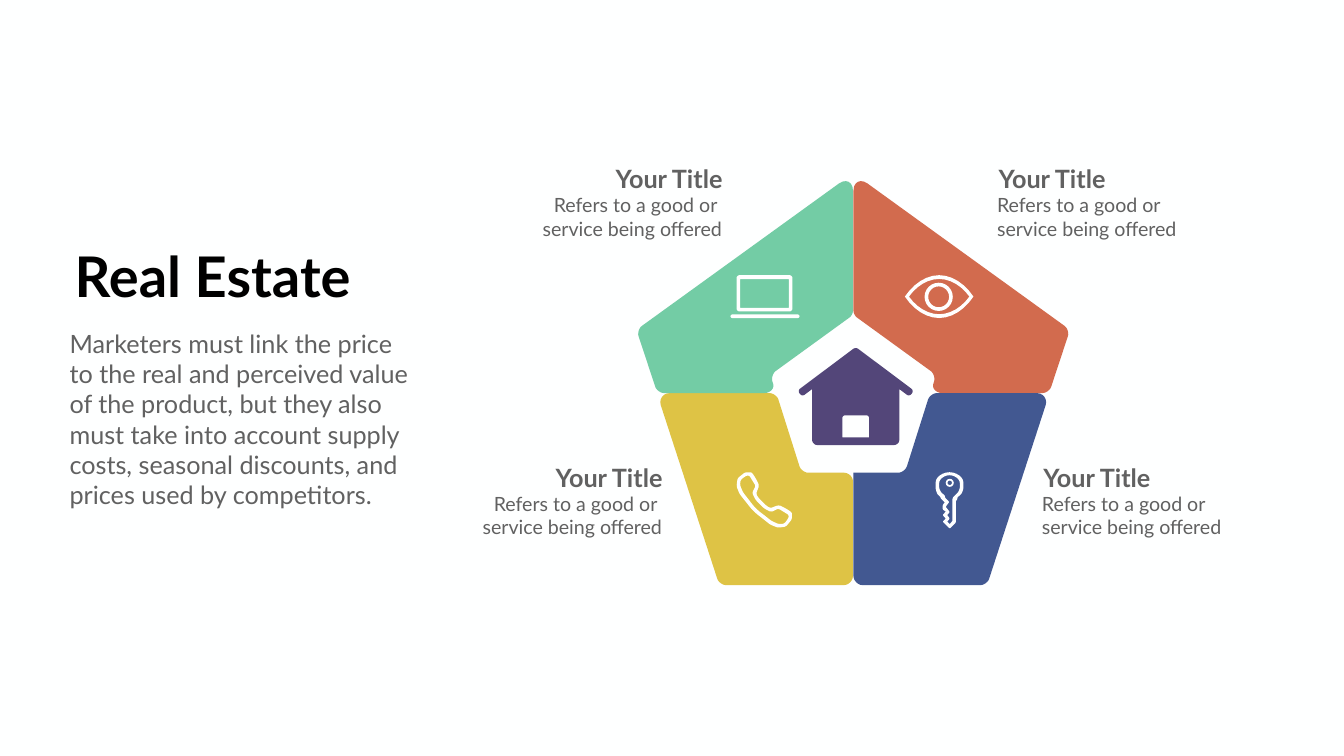
from math import hypot

from pptx import Presentation
from pptx.dml.color import RGBColor as Rgb
from pptx.enum.shapes import MSO_SHAPE as Kind
from pptx.enum.text import MSO_ANCHOR as Anchor, MSO_AUTO_SIZE as Auto, PP_ALIGN as Align
from pptx.util import Inches, Pt

CELL = Inches(0.01)
COLS, ROWS = 2666, 1500
AXIS = 1692.5
BEND = 0.5
STEPS = 6
FONT = "Lato"
HUES = {
    "page": "FEFFFF", "ink": "000000", "grey": "616161", "icon": "FFFFFF",
    "house": "534679", "green": "73CCA5", "red": "D26B4E",
    "gold": "DEC345", "blue": "425891",
}

UPPER = [(1692, 344, 34), (1692, 625, 8), (1528, 744, 13), (1539.5, 780, 24),
         (1304, 780, 13), (1262.5, 654.5, 13)]
HOUSE = [(1697.5, 688.5, 6), (1813, 775, 6), (1804, 787, 6), (1784, 772, 0),
         (1784, 883, 10)]
PHONE = [
    [(30, 74), (15, 55), (7, 45), (1, 30), (3, 14), (18, 2), (28, 2), (32, 3),
     (39, 14), (46, 28), (42, 39), (40, 44), (43, 51), (53, 61)],
    [(35, 69), (21, 51), (14, 42), (8, 28), (9, 17), (20, 9), (26, 8),
     (39, 29), (36, 35), (32, 43), (39, 57), (44, 62)],
]
KEY = [
    [(0, 0, 27), (55, 0, 27), (55, 40, 10), (43, 50, 2), (43, 54, 2),
     (40, 57, 2), (40, 100, 2), (28, 112, 2), (14, 98, 2), (20, 92, 0),
     (14, 85, 2), (20, 78, 0), (14, 74, 2), (14, 65, 2), (18, 60, 0),
     (10, 52, 2), (10, 50, 2), (0, 40, 10)],
    [(7, 6, 20), (48, 6, 20), (48, 37, 8), (35, 49, 2), (33, 54, 2),
     (33, 97, 0), (28, 103, 0), (23, 98, 0), (28, 92, 2), (23, 85, 0),
     (28, 79, 2), (21, 70, 0), (21, 67, 0), (27, 59, 2), (19, 51, 2),
     (18, 46, 2), (7, 37, 8)],
]


def lower(cut):
    return [(1692, 938, cut), (1692, 1161, 18), (1427, 1161, 13),
            (1303, 780, 25), (1540, 780, 13), (1590, 938, 13)]


def flip(ring, axis=AXIS):
    return [(2 * axis - x, y, cut) for x, y, cut in ring]


def box(left, top, wide, high, cut):
    right, base = left + wide, top + high
    return [(left, top, cut), (right, top, cut), (right, base, cut), (left, base, cut)]


def shift(ring, left, top):
    return [(x + left, y + top, cut) for x, y, cut in ring]


def curve(a, b, c, d):
    for i in range(STEPS + 1):
        t = i / STEPS
        u = 1 - t
        yield tuple(u**3 * p + 3 * u * u * t * q + 3 * u * t * t * r + t**3 * s
                    for p, q, r, s in zip(a, b, c, d))


def toward(a, b, share):
    return a[0] + (b[0] - a[0]) * share, a[1] + (b[1] - a[1]) * share


def trim(spot, near):
    span = hypot(near[0] - spot[0], near[1] - spot[1])
    return toward(spot, near, min(spot[2] / span, 0.5))


def soften(ring):
    dots = []
    for i, spot in enumerate(ring):
        if not spot[2]:
            dots.append(spot[:2])
            continue
        start = trim(spot, ring[i - 1])
        end = trim(spot, ring[(i + 1) % len(ring)])
        dots += curve(start, toward(start, spot, BEND), toward(end, spot, BEND), end)
    return dots


def lens(x, y, wide, high):
    quarter = [(-wide, 0), (-0.75 * wide, -0.6 * high), (-0.38 * wide, -high), (0, -high)]
    dots = []
    for h, v, back in ((1, 1, 1), (-1, 1, -1), (-1, -1, 1), (1, -1, -1)):
        dots += curve(*[(x + h * p, y + v * q) for p, q in quarter[::back]])
    return dots


def paint(shape, hue):
    shape.shadow.inherit = False
    shape.fill.solid()
    shape.fill.fore_color.rgb = Rgb.from_string(HUES[hue])
    shape.line.fill.background()


def draw(slide, hue, *rings):
    pen = None
    for ring in rings:
        dots = [(x * CELL, y * CELL) for x, y in ring]
        if pen is None:
            pen = slide.shapes.build_freeform(*dots[0])
        else:
            pen.move_to(*dots[0])
        pen.add_line_segments(dots[1:], close=True)
    paint(pen.convert_to_shape(), hue)


def stamp(slide, kind, place, ratio):
    shape = slide.shapes.add_shape(kind, *[n * CELL for n in place])
    shape.adjustments[0] = ratio
    paint(shape, "icon")


def write(slide, place, *lines, size, hue="grey", bold=False, align=Align.LEFT, holder=None):
    place = [n * CELL for n in place]
    shape = holder or slide.shapes.add_textbox(*place)
    shape.left, shape.top, shape.width, shape.height = place
    frame = shape.text_frame
    frame.word_wrap = True
    frame.auto_size = Auto.NONE
    frame.vertical_anchor = Anchor.TOP
    for i, line in enumerate(lines):
        para = frame.add_paragraph() if i else frame.paragraphs[0]
        para.alignment = align
        para.space_before = Pt(0)
        run = para.add_run()
        run.text = line
        run.font.name, run.font.size, run.font.bold = FONT, Pt(size), bold
        run.font.color.rgb = Rgb.from_string(HUES[hue])
    return shape


def plain(shape):
    for para in shape.text_frame.paragraphs:
        props = para._p.get_or_add_pPr()
        props.set("marL", "0")
        props.set("indent", "0")
        props.append(props.makeelement(
            "{http://schemas.openxmlformats.org/drawingml/2006/main}buNone", {}))


def label(slide, left, top, align):
    right = align == Align.RIGHT
    write(slide, (left, top, 392, 101), "Refers to a good or" + " " * right,
          "service being offered", size=28, align=align)
    write(slide, (left + (139 if right else 3), top - 59, 254, 51), "Your Title",
          size=36, bold=True, align=align)


def ring_wheel(slide):
    house = HOUSE + flip(HOUSE[1:], 1697.5)[::-1]
    door = [(1671, 868, 0), (1671, 824, 5), (1724, 824, 5), (1724, 868, 0)]
    draw(slide, "house", soften(house), soften(door))
    draw(slide, "gold", soften(lower(17)))
    draw(slide, "green", soften(UPPER))
    draw(slide, "red", soften(flip(UPPER)))
    draw(slide, "blue", soften(flip(lower(0))))


def icons(slide):
    phone = []
    for half in PHONE:
        whole = half + [(113 - y, 113 - x) for x, y in half[::-1]]
        phone.append(soften(shift([(x, y, 4) for x, y in whole], 1460, 935)))
    draw(slide, "icon", *phone)
    draw(slide, "icon", lens(1863, 588.5, 68, 42.5), lens(1863, 588.5, 60, 35))
    stamp(slide, Kind.DONUT, (1834, 561, 56, 56), 0.13)
    draw(slide, "icon", soften(box(1461, 546, 111, 72, 6)), soften(box(1468, 554, 97, 57, 0)))
    stamp(slide, Kind.ROUNDED_RECTANGLE, (1449, 624, 137, 7), 0.5)
    draw(slide, "icon", *[soften(shift(ring, 1856, 937)) for ring in KEY])
    stamp(slide, Kind.DONUT, (1876, 950, 16, 16), 0.22)


def main():
    deck = Presentation()
    deck.slide_width, deck.slide_height = COLS * CELL, ROWS * CELL
    slide = deck.slides.add_slide(deck.slide_layouts[1])
    slide.background.fill.solid()
    slide.background.fill.fore_color.rgb = Rgb.from_string(HUES["page"])
    ring_wheel(slide)
    icons(slide)
    write(slide, (129, 475, 586, 145), "Real Estate", size=80, hue="ink", bold=True,
          align=Align.CENTER, holder=slide.shapes.title)
    plain(write(slide, (128, 646, 701, 365),
                "Marketers must link the price to the real and perceived value of the product, "
                "but they also must take into account supply costs, seasonal discounts, "
                "and prices used by competitors.",
                size=36, holder=slide.placeholders[1]))
    for left, top, align in ((931, 971, Align.RIGHT), (1050, 378, Align.RIGHT),
                             (1968, 378, Align.LEFT), (2057, 971, Align.LEFT)):
        label(slide, left, top, align)
    deck.save("out.pptx")


if __name__ == "__main__":
    main()
